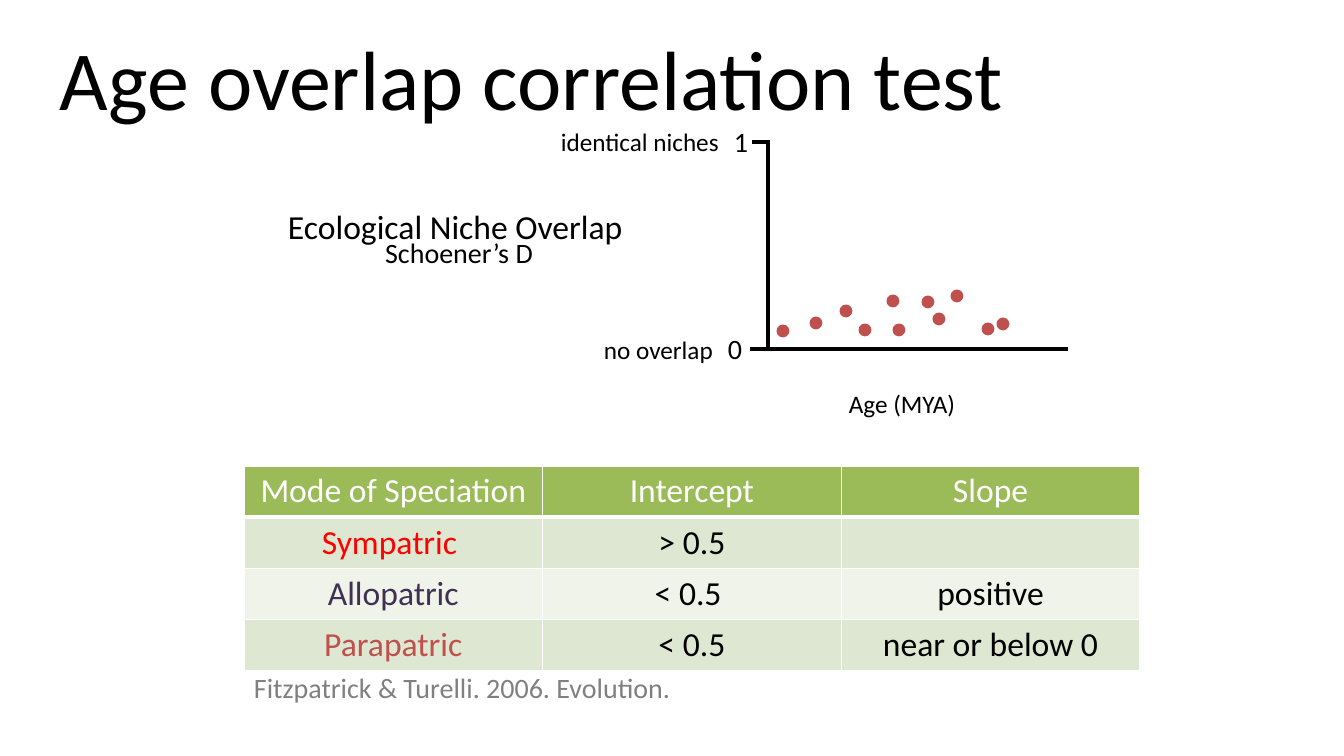
from lxml import etree
from pptx import Presentation
from pptx.dml.color import RGBColor
from pptx.enum.shapes import MSO_CONNECTOR, MSO_SHAPE
from pptx.enum.text import MSO_ANCHOR, PP_ALIGN
from pptx.oxml import parse_xml
from pptx.oxml.ns import nsdecls, qn
from pptx.util import Emu, Pt

LEFT, CENTER = PP_ALIGN.LEFT, PP_ALIGN.CENTER
TOP = MSO_ANCHOR.TOP
OVAL = MSO_SHAPE.OVAL
STRAIGHT = MSO_CONNECTOR.STRAIGHT

BLACK = RGBColor(0x00, 0x00, 0x00)
WHITE = RGBColor(0xFF, 0xFF, 0xFF)
GRAY = RGBColor(0x80, 0x80, 0x80)
RED = RGBColor(0xFF, 0x00, 0x00)
PURPLE = RGBColor(0x40, 0x31, 0x52)
BRICK = RGBColor(0xC0, 0x50, 0x4D)
GREEN = RGBColor(0x9B, 0xBB, 0x59)
GREEN_BAND = RGBColor(0xDE, 0xE7, 0xD1)
PALE_BAND = RGBColor(0xEF, 0xF3, 0xEA)

FONT = "Calibri"
SLIDE_WIDTH, SLIDE_HEIGHT = 1344, 756
DOT_SIZE = 10

SPECIATION_ROWS = [
    ("Mode of Speciation", "Intercept", "Slope"),
    ("Sympatric ", "> 0.5", ""),
    ("Allopatric", "< 0.5 ", "positive"),
    ("Parapatric", "< 0.5", "near or below 0"),
]
MODE_COLORS = [WHITE, RED, PURPLE, BRICK]
ROW_FILLS = [GREEN, GREEN_BAND, PALE_BAND, GREEN_BAND]

OVERLAP_POINTS = [
    (15, 18), (48, 26), (171, 30), (78, 38), (97, 19), (131, 19),
    (220, 20), (235, 25), (189, 53), (125, 48), (160, 47),
]


def px(length):
    """Turn pixels at 100.8 to the inch into EMU."""
    return Emu(round(length * 914400 / 100.8))


def style_paragraph(paragraph, size, color, alignment):
    """Set the font and alignment of a paragraph."""
    paragraph.alignment = alignment
    paragraph.font.name = FONT
    paragraph.font.size = Pt(size)
    paragraph.font.color.rgb = color


def add_text(slide, box, text, size, color=BLACK, alignment=LEFT, wrap=False):
    """Place one line of text in a box."""
    frame = slide.shapes.add_textbox(*map(px, box)).text_frame
    frame.word_wrap = wrap
    frame.vertical_anchor = TOP
    frame.text = text
    style_paragraph(frame.paragraphs[0], size, color, alignment)


def add_line(slide, start, end):
    """Draw one black axis line or tick."""
    connector = slide.shapes.add_connector(STRAIGHT, *map(px, (*start, *end)))
    connector.line.color.rgb = BLACK
    connector.line.width = Pt(3)
    etree.SubElement(connector._element.spPr, qn("a:effectLst"))


def add_dot(slide, center_x, center_y):
    """Draw one data point around its centre."""
    corner = center_x - DOT_SIZE / 2, center_y - DOT_SIZE / 2
    dot = slide.shapes.add_shape(OVAL, *map(px, (*corner, DOT_SIZE, DOT_SIZE)))
    dot.shadow.inherit = False
    dot.fill.solid()
    dot.fill.fore_color.rgb = BRICK
    dot.line.color.rgb = BRICK
    dot.line.width = Pt(2)


def add_overlap_plot(slide, left, top, width, height):
    """Draw the niche overlap plot with its axes, labels and points."""
    right, bottom = left + width, top + height
    axis_x, axis_top, axis_y = left + 492, top + 22, bottom - 74

    add_text(slide, (left, top + 81, 366, 50), "Ecological Niche Overlap ", 24,
             alignment=CENTER)
    add_text(slide, (left + 68, top + 111, 230, 44), "Schoener’s D", 20,
             alignment=CENTER, wrap=True)
    add_text(slide, (axis_x + 71, bottom - 40, 128, 40), "Age (MYA)", 18)

    add_line(slide, (axis_x, axis_top - 2), (axis_x, axis_y))
    add_line(slide, (axis_x - 2, axis_y), (right, axis_y))
    add_line(slide, (axis_x + 1, axis_top), (axis_x - 16, axis_top))
    add_line(slide, (axis_x, axis_y), (axis_x - 18, axis_y))

    add_text(slide, (axis_x - 50, axis_y - 22, 34, 44), "0", 20)
    add_text(slide, (axis_x - 44, axis_top - 22, 34, 44), "1", 20)
    add_text(slide, (axis_x - 174, axis_y - 20, 131, 40), "no overlap", 18)
    add_text(slide, (axis_x - 217, axis_top - 21, 180, 40), "identical niches", 18)

    for age, overlap in OVERLAP_POINTS:
        add_dot(slide, axis_x + age, axis_y - overlap)


def add_borders(cell, bottom_width):
    """Give a cell white borders."""
    properties = cell._tc.get_or_add_tcPr()
    sides = [("L", 1), ("R", 1), ("T", 1), ("B", bottom_width)]
    for index, (side, width) in enumerate(sides):
        properties.insert(index, parse_xml(
            f'<a:ln{side} {nsdecls("a")} w="{Pt(width)}"><a:solidFill>'
            f'<a:srgbClr val="{WHITE}"/></a:solidFill></a:ln{side}>'))


def add_speciation_table(slide, left, top, width, height):
    """Tabulate the expected intercept and slope for each mode."""
    row_count, column_count = len(SPECIATION_ROWS), len(SPECIATION_ROWS[0])
    table = slide.shapes.add_table(
        row_count, column_count, *map(px, (left, top, width, height))).table
    table.first_row = False
    table.horz_banding = False
    for row, texts in enumerate(SPECIATION_ROWS):
        for column, text in enumerate(texts):
            cell = table.cell(row, column)
            cell.text = text
            cell.fill.solid()
            cell.fill.fore_color.rgb = ROW_FILLS[row]
            add_borders(cell, 1 if row else 3)
            body_color = BLACK if row else WHITE
            color = body_color if column else MODE_COLORS[row]
            style_paragraph(cell.text_frame.paragraphs[0], 24, color, CENTER)


def main():
    """Build and save the slide."""
    presentation = Presentation()
    presentation.slide_width = px(SLIDE_WIDTH)
    presentation.slide_height = px(SLIDE_HEIGHT)
    slide = presentation.slides.add_slide(presentation.slide_layouts[6])
    add_speciation_table(slide, 244, 466, 896, 204)
    add_text(slide, (244, 666, 440, 44),
             "Fitzpatrick & Turelli. 2006. Evolution.", 20, GRAY)
    add_overlap_plot(slide, 276, 120, 792, 303)
    add_text(slide, (50, 22, 974, 112), "Age overlap correlation test", 60)
    presentation.save("out.pptx")


if __name__ == "__main__":
    main()
